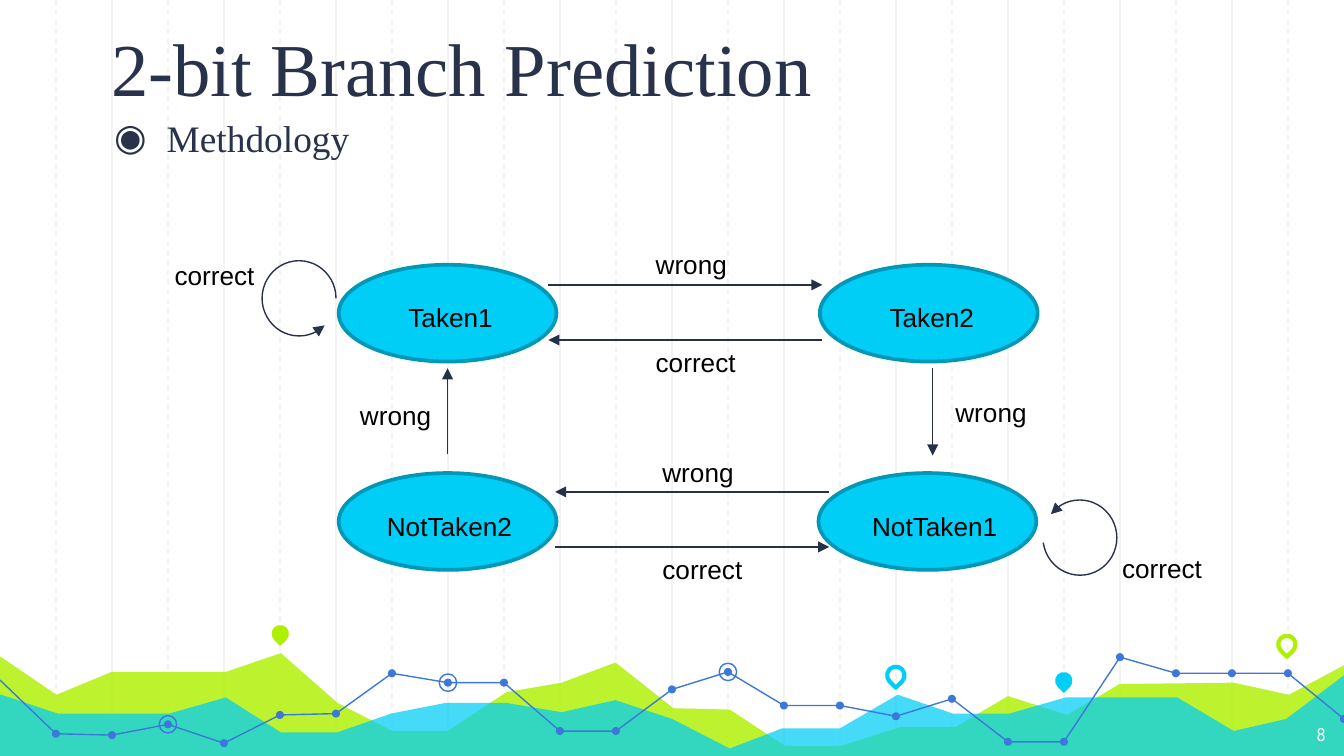
from lxml import etree
from pptx import Presentation
from pptx import util as u
from pptx.dml.color import RGBColor
from pptx.enum import dml, shapes, text
from pptx.oxml import ns

Inches, Pt = u.Inches, u.Pt
COLORS = {
    "grid": "F3F3F3", "lime": "AFF000", "cyan": "00CEF6", "trend": "3C78D8",
    "edge": "0098B6", "navy": "28324A", "arrow": "263149",
    "black": "000000", "white": "FFFFFF",
}


def paint(shape, fill=None, line=None, width=0.75):
    """Set fill and outline by colour name; None leaves that part empty."""
    shape.shadow.inherit = False
    if fill:
        shape.fill.solid()
        shape.fill.fore_color.rgb = RGBColor.from_string(COLORS[fill])
    else:
        shape.fill.background()
    if line:
        shape.line.color.rgb = RGBColor.from_string(COLORS[line])
        shape.line.width = Pt(width)
    else:
        shape.line.fill.background()


def write(box, words, size, font, color, align=text.PP_ALIGN.LEFT):
    """Put one formatted run in the first paragraph and return the paragraph."""
    box.text_frame.word_wrap = True
    para = box.text_frame.paragraphs[0]
    para.alignment = align
    span = para.add_run()
    span.text = words
    span.font.size = Pt(size)
    span.font.name = font
    span.font.color.rgb = RGBColor.from_string(COLORS[color])
    return para


# Widescreen page, 16:9
deck = Presentation()
deck.slide_width = Inches(10)
deck.slide_height = Inches(10 * 9 / 16)
page = deck.slides.add_slide(deck.slide_layouts[1])
title, body = page.placeholders

# Vertical grid: solid and dashed lines alternate
STEP = 10 / 24
for column in [*range(2, 23, 2), *range(1, 24, 2)]:
    x = Inches(column * STEP)
    rule = page.shapes.add_connector(shapes.MSO_CONNECTOR.STRAIGHT, x, 0, x, Inches(5.65))
    rule.line.color.rgb = RGBColor.from_string(COLORS["grid"])
    rule.line.width = Pt(0.75)
    if column % 2:
        rule.line.dash_style = dml.MSO_LINE.DASH
    etree.SubElement(rule.element.spPr, ns.qn("a:effectLst"))

# Translucent hills
hills = [
    ("lime", 82, [
        (-0.02, 4.87), (0.42, 5.17), (0.83, 5), (1.68, 5), (2.09, 4.86), (2.51, 5.23),
        (2.92, 5.44), (3.33, 5.44), (3.77, 5.15), (4.18, 5.08), (4.58, 4.93), (5.01, 5.27),
        (5.43, 5.28), (5.84, 5.55), (6.26, 5.55), (6.7, 5.41), (7.11, 5.41), (7.5, 5.18),
        (7.94, 5.32), (8.33, 5.09), (9.18, 5.08), (9.59, 5.17), (10.02, 4.94),
        (10.01, 5.64), (-0.03, 5.64)]),
    ("cyan", 73, [
        (-0.02, 5.16), (0.43, 5.31), (1.26, 5.31), (1.68, 5.19), (2.09, 5.45), (2.51, 5.45),
        (2.91, 5.31), (3.32, 5.23), (3.76, 5.23), (4.18, 5.3), (4.58, 5.21), (5, 5.35),
        (5.43, 5.57), (5.82, 5.42), (6.25, 5.42), (6.68, 5.17), (7.09, 5.31), (7.51, 5.31),
        (7.93, 5.19), (8.76, 5.19), (9.18, 5.44), (9.57, 5.35), (10.02, 5.01),
        (10.02, 5.65), (-0.03, 5.65)]),
]
for color, opacity, outline in hills:
    points = [(Inches(x), Inches(y)) for x, y in outline]
    builder = page.shapes.build_freeform(*points[0])
    builder.add_line_segments(points[1:], close=True)
    hill = builder.convert_to_shape()
    paint(hill, color)
    tint = hill.element.spPr.find(ns.qn("a:solidFill"))[0]
    etree.SubElement(tint, ns.qn("a:alpha"), val=str(opacity * 1000))

# Map pins: left, top, fill, outline
for x, y, fill, line in [(2.02, 4.65, "lime", None), (6.6, 4.96, None, "cyan"),
                         (7.85, 5, "cyan", None), (9.51, 4.73, None, "lime")]:
    pin = page.shapes.add_shape(shapes.MSO_SHAPE.TEAR, Inches(x), Inches(y),
                                Inches(0.13), Inches(0.13))
    pin.rotation = 135
    paint(pin, fill, line, 2.25)

# Trend line in three stretches, with a dot on each grid line
heights = [5.06, 5.46, 5.47, 5.39, 5.53, 5.32, 5.31, 5.01, 5.08, 5.08, 5.44, 5.44, 5.13,
           5, 5.25, 5.25, 5.33, 5.2, 5.52, 5.52, 4.89, 5.01, 5.01, 5.01, 5.35]
trend = [(i * STEP, y) for i, y in enumerate(heights)]
for first, last in [(0, 11), (11, 20), (20, 24)]:
    points = [(Inches(x), Inches(y)) for x, y in trend[first:last + 1]]
    builder = page.shapes.build_freeform(*points[0])
    builder.add_line_segments(points[1:], close=False)
    paint(builder.convert_to_shape(), line="trend")

dots = [(point, 0.06, "trend", None) for point in trend[1:]]
rings = [(trend[i], 0.13, None, "trend") for i in (8, 3, 13)]
for (x, y), size, fill, line in dots + rings:
    dot = page.shapes.add_shape(shapes.MSO_SHAPE.OVAL, Inches(x - size / 2),
                                Inches(y - size / 2), Inches(size), Inches(size))
    paint(dot, fill, line)

# Bulleted body, page number and title, in front of the backdrop
number = page.shapes.add_textbox(Inches(9.36), Inches(5.28), Inches(0.6), Inches(0.35))
places = [(body, 0.64, 0.76, 7.65, 2.81, text.MSO_ANCHOR.TOP),
          (number, 9.36, 5.28, 0.6, 0.35, text.MSO_ANCHOR.TOP),
          (title, 0.73, 0.15, 7.65, 0.78, text.MSO_ANCHOR.BOTTOM)]
for box, left, top, width, height, anchor in places:
    box.left, box.top = Inches(left), Inches(top)
    box.width, box.height = Inches(width), Inches(height)
    frame = box.text_frame
    frame.auto_size = text.MSO_AUTO_SIZE.NONE
    frame.vertical_anchor = anchor
    frame.margin_left = frame.margin_right = Inches(0.1)
    frame.margin_top = frame.margin_bottom = Inches(0.1)
    box.element.getparent().append(box.element)

write(title, "2-bit Branch Prediction", 40, "Times New Roman", "navy")
write(number, "8", 10, "Arial Narrow", "white", text.PP_ALIGN.RIGHT)
para = write(body, "Methdology", 20, "Times New Roman", "navy")
para.space_before = Pt(6)
props = body.element.find(".//" + ns.qn("a:pPr"))
props.set("marL", str(Inches(0.5)))
props.set("indent", str(Inches(-0.39)))
bullet_color = etree.SubElement(props, ns.qn("a:buClr"))
etree.SubElement(bullet_color, ns.qn("a:srgbClr"), val=COLORS["navy"])
etree.SubElement(props, ns.qn("a:buChar"), char="◉")

# Predictor states
for x, y in [(2.52, 1.97), (6.1, 1.97), (2.52, 3.52), (6.09, 3.52)]:
    state = page.shapes.add_shape(shapes.MSO_SHAPE.OVAL, Inches(x), Inches(y),
                                  Inches(1.62), Inches(0.72))
    paint(state, "cyan", "edge", 2)

# Transitions between states
arrows = []
for x1, y1, x2, y2 in [(4.08, 2.12, 6.12, 2.12), (6.12, 2.53, 4.08, 2.53),
                       (3.33, 3.38, 3.33, 2.74), (6.94, 2.74, 6.94, 3.39),
                       (6.17, 3.66, 4.13, 3.66), (4.13, 4.07, 6.17, 4.07)]:
    arrow = page.shapes.add_connector(shapes.MSO_CONNECTOR.STRAIGHT, Inches(x1), Inches(y1),
                                      Inches(x2), Inches(y2))
    arrow.line.color.rgb = RGBColor.from_string(COLORS["arrow"])
    arrow.line.width = Pt(0.75)
    etree.SubElement(arrow.element.spPr, ns.qn("a:effectLst"))
    arrows.append((arrow, "a:tailEnd"))

# Loops back to the same state
for x, y, turn in [(1.95, 1.94, 0), (7.76, 3.72, 172.3)]:
    loop = page.shapes.add_shape(shapes.MSO_SHAPE.ARC, Inches(x), Inches(y),
                                 Inches(0.55), Inches(0.56))
    loop.adjustments[0] = 27.95
    loop.adjustments[1] = 0
    loop.rotation = turn
    paint(loop, line="navy")
    arrows.append((loop, "a:headEnd"))

for arrow, end in arrows:
    etree.SubElement(arrow.element.spPr.find(ns.qn("a:ln")), ns.qn(end), type="triangle")

# State names and transition labels
labels = [
    ("Taken2", 6.52, 2.19, 1.02), ("Taken1", 2.94, 2.19, 1.02),
    ("NotTaken2", 2.78, 3.75, 1.28), ("NotTaken1", 6.39, 3.75, 1.28),
    ("correct", 4.78, 2.53, 1.02), ("wrong", 4.78, 1.8, 1.02),
    ("correct", 1.2, 1.88, 1.02), ("wrong", 2.58, 2.92, 1.02),
    ("wrong", 7.01, 2.9, 1.02), ("correct", 4.83, 4.07, 1.02),
    ("wrong", 4.83, 3.35, 1.02), ("correct", 8.25, 4.06, 1.02),
]
for words, x, y, width in labels:
    label = page.shapes.add_textbox(Inches(x), Inches(y), Inches(width), Inches(0.34))
    label.text_frame.auto_size = text.MSO_AUTO_SIZE.SHAPE_TO_FIT_TEXT
    write(label, words, 14, "Arial", "black")

deck.save("out.pptx")
